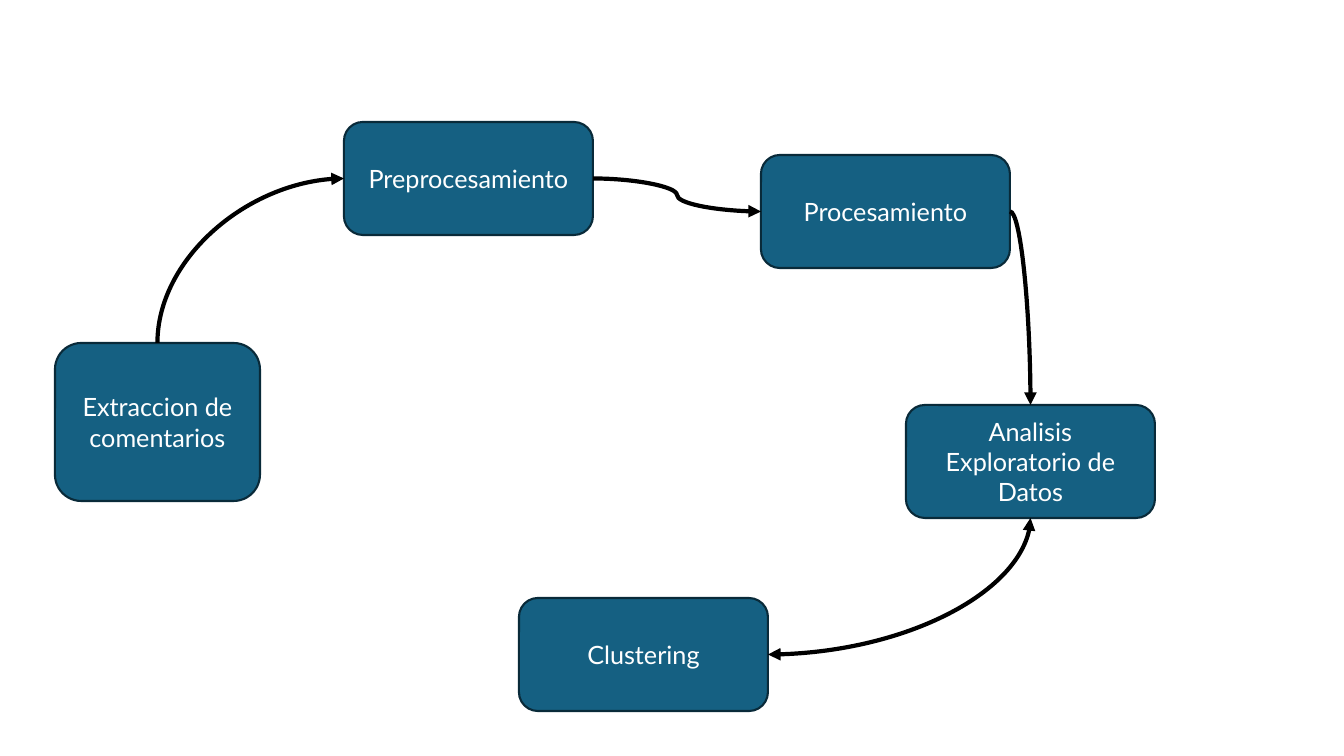
from lxml import etree
from pptx import Presentation
from pptx.dml.color import RGBColor
from pptx.enum.shapes import MSO_CONNECTOR, MSO_SHAPE
from pptx.enum.text import MSO_ANCHOR, PP_ALIGN
from pptx.oxml.ns import qn
from pptx.util import Pt

BLUE = RGBColor(0x15, 0x60, 0x82)
NAVY = RGBColor(0x09, 0x2A, 0x39)
WHITE = RGBColor(0xFF, 0xFF, 0xFF)
BLACK = RGBColor(0x00, 0x00, 0x00)
FONT = "Lato"
ROUND = MSO_SHAPE.ROUNDED_RECTANGLE
CURVE = MSO_CONNECTOR.CURVE
MIDDLE = MSO_ANCHOR.MIDDLE
CENTER = PP_ALIGN.CENTER
TOP, LEFT, BOTTOM, RIGHT = range(4)
SCALE = 12192000 / 1344

STEPS = {
    "extract": ("Extraccion de comentarios", 55, 343, 205, 158),
    "cluster": ("Clustering", 519, 598, 249, 113),
    "explore": ("Analisis Exploratorio de Datos", 906, 405, 249, 113),
    "prepare": ("Preprocesamiento", 344, 122, 249, 113),
    "process": ("Procesamiento", 761, 155, 249, 113),
}
LINKS = [
    ("extract", TOP, "prepare", LEFT, ["tailEnd"]),
    ("prepare", RIGHT, "process", LEFT, ["tailEnd"]),
    ("process", RIGHT, "explore", TOP, ["tailEnd"]),
    ("explore", BOTTOM, "cluster", RIGHT, ["headEnd", "tailEnd"]),
]


def px(size):
    return round(size * SCALE)


def add_step(slide, text, *place):
    box = slide.shapes.add_shape(ROUND, *map(px, place))
    box.shadow.inherit = False
    box.fill.solid()
    box.fill.fore_color.rgb = BLUE
    box.line.color.rgb = NAVY
    box.line.width = Pt(1.5)
    frame = box.text_frame
    frame.word_wrap = True
    frame.vertical_anchor = MIDDLE
    para = frame.paragraphs[0]
    para.alignment = CENTER
    run = para.add_run()
    run.text = text
    run.font.name = FONT
    run.font.size = Pt(18)
    run.font.color.rgb = WHITE
    return box


def turn(wire, side):
    dx = wire.end_x - wire.begin_x
    dy = wire.end_y - wire.begin_y
    mid_x = wire.begin_x + dx / 2
    mid_y = wire.begin_y + dy / 2
    props = wire._element.spPr
    props.find(qn("a:prstGeom")).set("prst", "curvedConnector2")
    if side in (TOP, BOTTOM):
        wire.width, wire.height = abs(dy), abs(dx)
        wire.left = round(mid_x - wire.width / 2)
        wire.top = round(mid_y - wire.height / 2)
        frame = props.find(qn("a:xfrm"))
        frame.set("rot", "5400000")
        frame.set("flipH", str(int(dy < 0)))
        frame.set("flipV", str(int(dx > 0)))


def add_link(slide, start, out, end, into, heads):
    wire = slide.shapes.add_connector(CURVE, 0, 0, 0, 0)
    wire.begin_connect(start, out)
    wire.end_connect(end, into)
    if (out - into) % 2:
        turn(wire, out)
    wire.line.color.rgb = BLACK
    wire.line.width = Pt(3)
    line = wire.line._get_or_add_ln()
    for head in heads:
        etree.SubElement(line, qn("a:" + head), type="triangle")
    etree.SubElement(wire._element.spPr, qn("a:effectLst"))


def main():
    deck = Presentation()
    deck.slide_width, deck.slide_height = px(1344), px(756)
    slide = deck.slides.add_slide(deck.slide_layouts[6])
    boxes = {key: add_step(slide, *step) for key, step in STEPS.items()}
    for start, out, end, into, heads in LINKS:
        add_link(slide, boxes[start], out, boxes[end], into, heads)
    deck.save("out.pptx")


if __name__ == "__main__":
    main()
